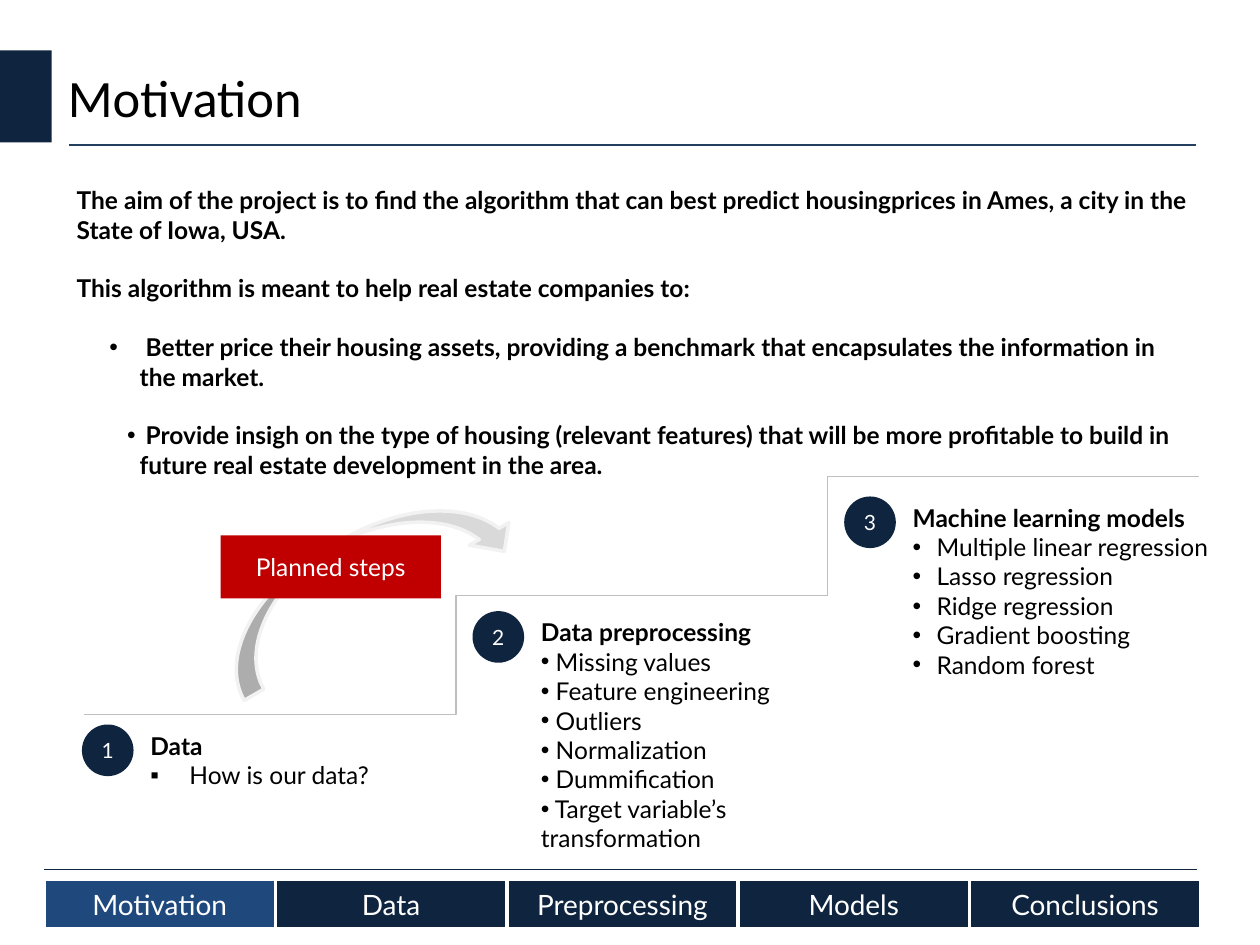
import pptx
import pptx.util
import pptx.dml.color
import pptx.enum.shapes
import pptx.enum.text
import pptx.oxml.ns
import lxml.etree

SHAPE = pptx.enum.shapes.MSO_SHAPE
LINE = pptx.enum.shapes.MSO_CONNECTOR
COLUMNS, ROWS = 100, 75
NAVY, BLUE, RED, WHITE, BLACK = "0F243E", "1F497D", "C00000", "FFFFFF", "000000"


def g(n):
    """Convert grid columns or rows to a length."""
    return pptx.util.Inches(10 * n / COLUMNS)


def rgb(color):
    """Turn a hex string into a colour."""
    return pptx.dml.color.RGBColor.from_string(color)


def child(parent, tag, **attributes):
    """Append a DrawingML element to a parent."""
    return lxml.etree.SubElement(parent, pptx.oxml.ns.qn("a:" + tag), **attributes)


def write(p, text, size=14, color=BLACK, bold=False, font="Lato"):
    """Add one run to a paragraph."""
    r = p.add_run()
    r.text = text
    r.font.size, r.font.name, r.font.bold = pptx.util.Pt(size), font, bold
    r.font.color.rgb = rgb(color)


def bullet(p, char="•", left=0, hang=0):
    """Give a paragraph a bullet with a left margin and a hanging indent."""
    pPr = p._p.get_or_add_pPr()
    pPr.set("marL", str(g(left)))
    pPr.set("indent", str(-g(hang)))
    child(pPr, "buFont", typeface="Arial")
    child(pPr, "buChar", char=char)


def text_box(s, x, y, w, h):
    """Add a wrapping text box and return its text frame."""
    tf = s.shapes.add_textbox(g(x), g(y), g(w), g(h)).text_frame
    tf.word_wrap = True
    return tf


def shape(s, kind, x, y, w, h, fill, outline=None, text="", size=14):
    """Add a flat preset shape with an optional outline and centred label."""
    sp = s.shapes.add_shape(kind, g(x), g(y), g(w), g(h))
    sp.shadow.inherit = False
    sp.fill.solid()
    sp.fill.fore_color.rgb = rgb(fill)
    if outline:
        sp.line.color.rgb = rgb(outline)
        sp.line.width = pptx.util.Pt(2)
    else:
        sp.line.fill.background()
    if text:
        tf = sp.text_frame
        tf.margin_left = tf.margin_right = tf.margin_top = tf.margin_bottom = 0
        tf.vertical_anchor = pptx.enum.text.MSO_ANCHOR.MIDDLE
        p = tf.paragraphs[0]
        p.alignment = pptx.enum.text.PP_ALIGN.CENTER
        write(p, text, size, WHITE)
    return sp


def line(s, x1, y1, x2, y2, color, width, kind=LINE.STRAIGHT):
    """Add a connector without a shadow."""
    c = s.shapes.add_connector(kind, g(x1), g(y1), g(x2), g(y2))
    c.line.color.rgb = rgb(color)
    c.line.width = pptx.util.Pt(width)
    child(c._element.spPr, "effectLst")


def header(s, x, y, w, h, title):
    """Place the accent block, the title and its rule."""
    tf = text_box(s, x + 4.4, y, w - 9, h)
    tf.vertical_anchor = pptx.enum.text.MSO_ANCHOR.MIDDLE
    write(tf.paragraphs[0], title, 30, font="Calibri")
    shape(s, SHAPE.RECTANGLE, x, y, 4.1, h, NAVY)
    line(s, x + 5.5, y + h + 0.2, x + w, y + h + 0.2, "244061", 0.75)


def aims(s, x, y, w, h, paragraphs):
    """Place the bold paragraphs, with a bullet where a hang is given."""
    tf = text_box(s, x, y, w, h)
    for i, (text, hang) in enumerate(paragraphs):
        p = tf.add_paragraph() if i else tf.paragraphs[0]
        p.space_before = pptx.util.Pt(16.8 if i else 0)
        if hang is not None:
            bullet(p, left=5, hang=hang)
        write(p, text, bold=True)


def stairs(s, x, y, run, rise):
    """Draw two elbow connectors that climb from the lower left."""
    for i in (1, 0):
        left, low = x + i * run, y - i * rise
        line(s, left, low, left + 2 * run, low - rise, "BFBFBF", 0.75, LINE.ELBOW)


def step(s, x, y, w, h, number, title, items, char="•", hang=0.0):
    """Place a numbered disc with a heading and its bullet list."""
    shape(s, SHAPE.OVAL, x, y, 4.1, 4.1, NAVY, text=str(number), size=12)
    tf = text_box(s, x + 4.45, y, w, h)
    write(tf.paragraphs[0], title, bold=True)
    for item in items:
        p = tf.add_paragraph()
        bullet(p, char, hang, hang)
        write(p, item if hang else " " + item)


def plan_label(s, x, y, w, h):
    """Place the curved arrow behind the red label."""
    arrow = shape(s, SHAPE.CURVED_DOWN_ARROW, x - 1.6, y, 25.6, 7.2, "D9D9D9", "F2F2F2")
    arrow.rotation = 330.2
    shape(s, SHAPE.RECTANGLE, x, y, w, h, RED, text="Planned steps")


def navigation(s, x, y, w, h, sections, current):
    """Place the footer rule and one equal cell per section."""
    line(s, x, y - 0.8, x + w - 0.3, y - 0.8, NAVY, 0.25)
    cell = w / len(sections)
    for i, name in enumerate(sections):
        fill = BLUE if name == current else NAVY
        shape(s, SHAPE.RECTANGLE, x + i * cell, y, cell, h, fill, WHITE, name, 16)


def main():
    """Build the slide and save it."""
    prs = pptx.Presentation()
    prs.slide_width, prs.slide_height = g(COLUMNS), g(ROWS)
    s = prs.slides.add_slide(prs.slide_layouts[6])
    stairs(s, 6.7, 56.7, 29.5, 9.45)
    step(s, 6.5, 57.5, 25.2, 5.7, 1, "Data", ["How is our data?"], "▪", 3.1)
    step(s, 37.5, 48.5, 29, 19.5, 2, "Data preprocessing",
         ["Missing values", "Feature engineering", "Outliers", "Normalization",
          "Dummification", "Target variable’s transformation"])
    step(s, 67, 39.4, 25.8, 15.1, 3, "Machine learning models",
         ["Multiple linear regression", "Lasso regression", "Ridge regression",
          "Gradient boosting", "Random forest"], hang=1.9)
    plan_label(s, 17.5, 42.5, 17.5, 5)
    header(s, 0, 4, 94.9, 7.3, "Motivation")
    navigation(s, 3.5, 69.8, 91.8, 3.9,
               ["Motivation", "Data", "Preprocessing", "Models", "Conclusions"], "Motivation")
    aims(s, 5.1, 14.2, 90.5, 36.7, [
        ("The aim of the project is to find the algorithm that can best predict "
         "housingprices in Ames, a city in the State of Iowa, USA.", None),
        ("This algorithm is meant to help real estate companies to:", None),
        (" Better price their housing assets, providing a benchmark that "
         "encapsulates the information in the market.", 2.4),
        (" Provide insigh on the type of housing (relevant features) that will be more "
         "profitable to build in future real estate development in the area.", 1)])
    prs.save("out.pptx")


if __name__ == "__main__":
    main()
